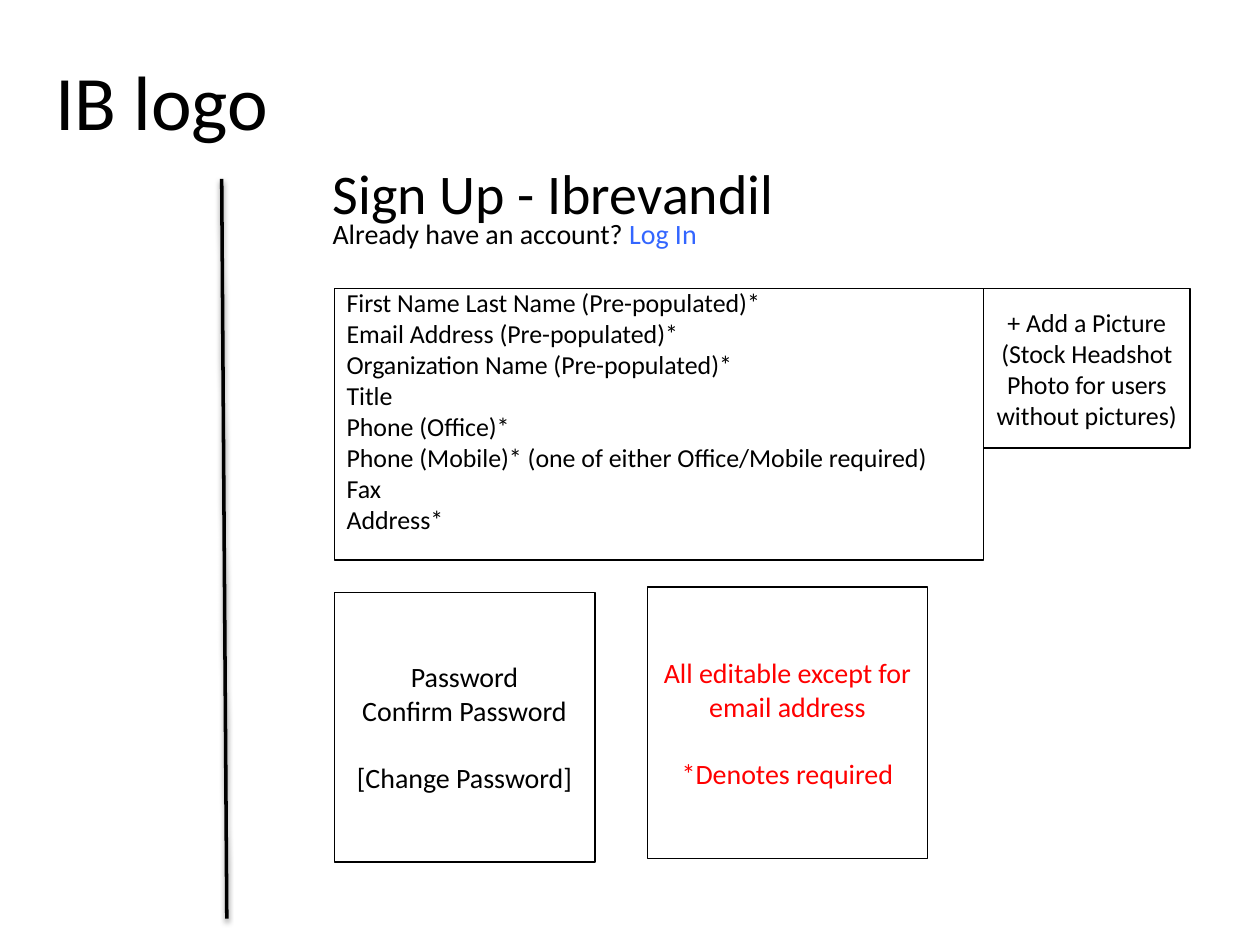
from lxml.etree import SubElement
from pptx import Presentation
from pptx.dml.color import RGBColor
from pptx.enum.shapes import MSO_CONNECTOR as Connector, MSO_SHAPE as Shape
from pptx.enum.text import MSO_ANCHOR as Anchor, MSO_AUTO_SIZE as AutoSize, PP_ALIGN as Align
from pptx.oxml.ns import qn
from pptx.util import Pt

BLACK, RED, BLUE = "000000", "FF0000", "3366FF"
FIELDS = [
    "First Name Last Name (Pre-populated)*",
    "Email Address (Pre-populated)*",
    "Organization Name (Pre-populated)*",
    "Title",
    "Phone (Office)*",
    "Phone (Mobile)* (one of either Office/Mobile required)",
    "Fax",
    "Address*",
]


def color(value):
    """Turn a hex string into a colour."""
    return RGBColor.from_string(value)


def place(item, box):
    """Move an item to a left, top, width, height box in points."""
    item.left, item.top, item.width, item.height = (Pt(length) for length in box)


def write(item, paras, size=16, ink=BLACK, align=Align.CENTER, insets=(7.2, 3.6, 7.2, 3.6), gap_before=None):
    """Fill an item with paragraphs, each a string or a list of (text, ink) spans."""
    frame = item.text_frame
    frame.word_wrap = True
    frame.auto_size = AutoSize.NONE
    frame.vertical_anchor = Anchor.MIDDLE
    frame.margin_left, frame.margin_top, frame.margin_right, frame.margin_bottom = map(Pt, insets)
    for index, content in enumerate(paras):
        para = frame.paragraphs[0] if index == 0 else frame.add_paragraph()
        para.alignment = align
        para.line_spacing = 1.0
        para.space_before = Pt(size * 1.2 if index == gap_before else 0)
        spans = [(content, ink)] if isinstance(content, str) else content
        for text, span_ink in spans:
            span = para.add_run()
            span.text = text
            span.font.name = "Calibri"
            span.font.size = Pt(size)
            span.font.color.rgb = color(span_ink)


def add_panel(page, box, paras, **style):
    """Add an outlined rectangle with text."""
    panel = page.shapes.add_shape(Shape.RECTANGLE, *map(Pt, box))
    panel.shadow.inherit = False
    panel.fill.background()
    panel.line.color.rgb = color(BLACK)
    panel.line.width = Pt(0.75)
    write(panel, paras, **style)


def add_divider(page, left, top, right, bottom):
    """Add the softly shadowed line beside the form."""
    divider = page.shapes.add_connector(Connector.STRAIGHT, Pt(left), Pt(top), Pt(right), Pt(bottom))
    divider.line.color.rgb = color(BLACK)
    divider.line.width = Pt(2)
    effects = SubElement(divider._element.spPr, qn("a:effectLst"))
    shadow = SubElement(effects, qn("a:outerShdw"), blurRad=str(Pt(3.1)), dist=str(Pt(1.6)),
                        dir="5400000", rotWithShape="0")
    shade = SubElement(shadow, qn("a:srgbClr"), val=BLACK)
    SubElement(shade, qn("a:alpha"), val="38000")


def add_heading(page, left, top, width, height):
    """Add the form heading and the log-in prompt below it."""
    heading = page.placeholders[1]
    place(heading, (left, top, width, height))
    write(heading, ["Sign Up - Ibrevandil"], size=32, align=Align.LEFT, insets=(7.2, 0, 0, 0))
    prompt = page.shapes.add_textbox(Pt(left), Pt(top + 24), Pt(width), Pt(height))
    write(prompt, [[("Already have an account? ", BLACK), ("Log In", BLUE)]], align=Align.LEFT)


def add_profile(page, left, top, width, height):
    """Add the profile fields with the picture panel on their right."""
    picture_width = 118
    fields_width = width - picture_width
    add_panel(page, (left, top, fields_width, height), FIELDS, size=14.8,
              align=Align.LEFT, insets=(7.2, 0, 7.2, 16))
    add_panel(page, (left + fields_width, top, picture_width, 91),
              ["+ Add a Picture (Stock Headshot Photo for users without pictures)"], size=14.8)


def add_footer(page, left, top, width, height):
    """Add the password panel and the note on required fields."""
    password_width, note_width = 149, 160
    add_panel(page, (left, top + 3, password_width, height - 1),
              ["Password", "Confirm Password", "[Change Password]"], gap_before=2)
    add_panel(page, (left + width - note_width, top, note_width, height),
              ["All editable except for email address", "*Denotes required"], ink=RED, gap_before=1)


def main():
    """Build the sign-up page and save it."""
    deck = Presentation()
    deck.slide_width, deck.slide_height = Pt(720), Pt(540)
    page = deck.slides.add_slide(deck.slide_layouts[0])
    place(page.shapes.title, (24, 25, 137, 64))
    write(page.shapes.title, ["IB logo"], size=44, insets=(0, 0, 0, 0))
    add_divider(page, 126.7, 102.2, 129.6, 524.9)
    add_heading(page, 183, 93.5, 304.5, 32)
    add_profile(page, 191, 165, 489, 155)
    add_footer(page, 191, 335.5, 339, 155)
    deck.save("out.pptx")


if __name__ == "__main__":
    main()
